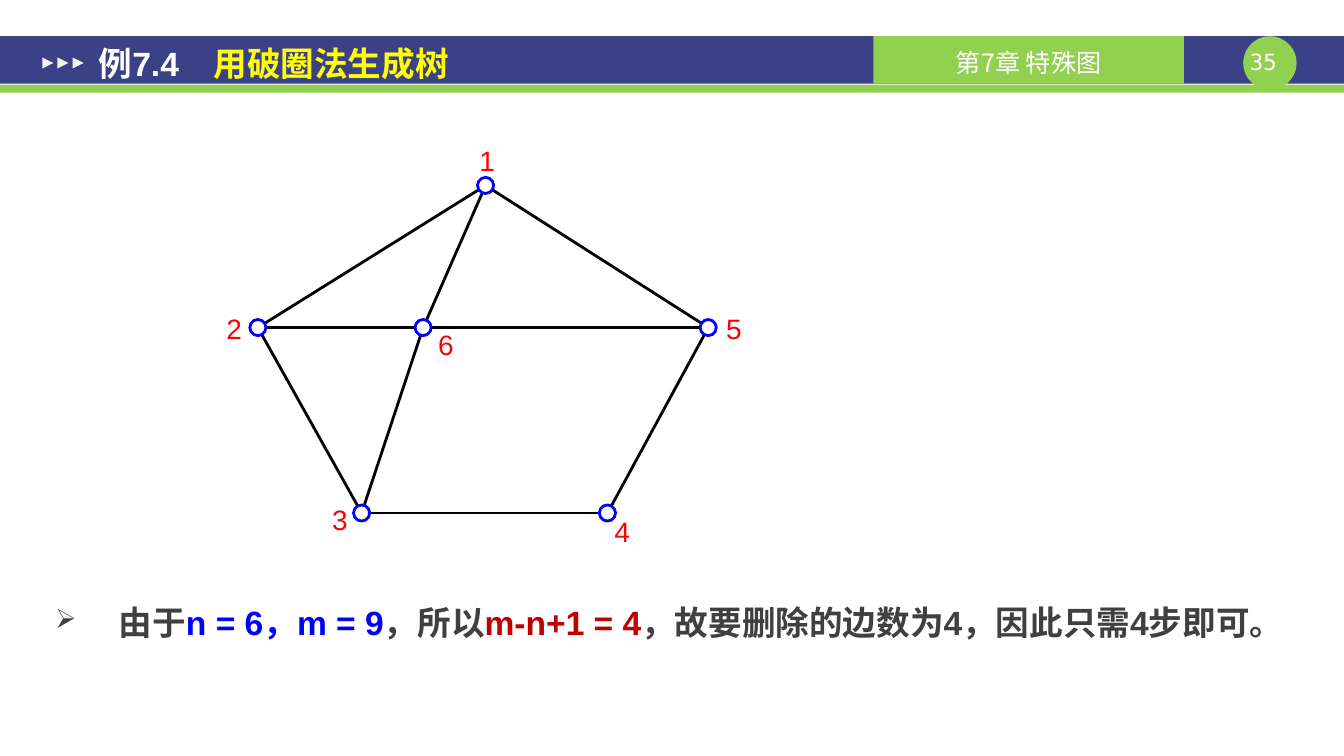
from lxml import etree
from pptx import Presentation
from pptx.dml.color import RGBColor
from pptx.enum.shapes import MSO_CONNECTOR, MSO_SHAPE
from pptx.enum.text import MSO_ANCHOR, PP_ALIGN
from pptx.oxml.ns import qn
from pptx.util import Inches, Pt

RECT, OVAL = MSO_SHAPE.RECTANGLE, MSO_SHAPE.OVAL
WEDGE = MSO_SHAPE.ISOSCELES_TRIANGLE
STRAIGHT = MSO_CONNECTOR.STRAIGHT
CENTER, LEFT = PP_ALIGN.CENTER, PP_ALIGN.LEFT
TOP, MIDDLE = MSO_ANCHOR.TOP, MSO_ANCHOR.MIDDLE

NAVY = RGBColor(0x3A, 0x41, 0x87)
GREEN = RGBColor(0x92, 0xD0, 0x50)
WHITE = RGBColor(0xFF, 0xFF, 0xFF)
PALE = RGBColor(0xF2, 0xF2, 0xF2)
YELLOW = RGBColor(0xFF, 0xFF, 0x00)
GRAY = RGBColor(0x40, 0x40, 0x40)
BLUE = RGBColor(0x00, 0x00, 0xFF)
DARK_RED = RGBColor(0xC0, 0x00, 0x00)
RED = RGBColor(0xFF, 0x00, 0x00)
BLACK = RGBColor(0x00, 0x00, 0x00)

HAN = "Noto Sans CJK SC"
BOLD = {"name": "Arial", "size": Pt(24), "bold": True}
LABEL = {"name": "Arial", "size": Pt(20)}
CHAPTER = {"name": HAN, "size": Pt(18)}
NUMBER = {"name": "DejaVu Sans Mono", "size": Pt(16)}
PADS = (0.13, 0.07, 0.13, 0.07)

# Vertex: centre x, y and left, top of its label
NODES = {
    "1": (4.82, 1.84, 4.66, 1.42),
    "2": (2.56, 3.25, 2.15, 3.09),
    "3": (3.59, 5.09, 3.2, 4.99),
    "4": (6.03, 5.09, 6, 5.1),
    "5": (7.03, 3.25, 7.11, 3.09),
    "6": (4.2, 3.25, 4.25, 3.25),
}
EDGES = ("16", "65", "63", "26", "12", "54", "34", "15", "23")
DOT = 0.16


def add_shape(slide, kind, box, fill, line=None):
    shape = slide.shapes.add_shape(kind, *map(Inches, box))
    shape.shadow.inherit = False
    shape.fill.solid()
    shape.fill.fore_color.rgb = fill
    if line is None:
        shape.line.fill.background()
    else:
        shape.line.color.rgb = line
        shape.line.width = Pt(2)
    return shape


def add_edge(slide, start, end):
    points = map(Inches, (*NODES[start][:2], *NODES[end][:2]))
    edge = slide.shapes.add_connector(STRAIGHT, *points)
    edge.line.color.rgb = BLACK
    edge.line.width = Pt(2)
    etree.SubElement(edge._element.spPr, qn("a:effectLst"))


def write(shape, runs, style, align=LEFT, anchor=TOP, pads=(0, 0, 0, 0)):
    """Fill a shape with one paragraph of (text, colour) runs."""
    frame = shape.text_frame
    frame.word_wrap = True
    frame.vertical_anchor = anchor
    for side, pad in zip(("left", "top", "right", "bottom"), pads):
        setattr(frame, f"margin_{side}", Inches(pad))
    para = frame.paragraphs[0]
    para.alignment = align
    for text, color in runs:
        run = para.add_run()
        run.text = text
        for key, value in style.items():
            setattr(run.font, key, value)
        run.font.color.rgb = color
        props = run._r.get_or_add_rPr()
        etree.SubElement(props, qn("a:ea"), typeface=HAN)
    return para


def add_text(slide, box, *args, **format):
    return write(slide.shapes.add_textbox(*map(Inches, box)), *args, **format)


def add_bullet(para, indent):
    props = para._p.get_or_add_pPr()
    props.set("marL", str(Inches(indent)))
    props.set("indent", str(-Inches(indent)))
    etree.SubElement(props, qn("a:buSzPct"), val="80000")
    etree.SubElement(props, qn("a:buChar"), char="➢")


def add_tab(para, place):
    tabs = etree.SubElement(para._p.get_or_add_pPr(), qn("a:tabLst"))
    etree.SubElement(tabs, qn("a:tab"), pos=str(Inches(place)), algn="l")


def add_header(slide):
    add_shape(slide, RECT, (0, 0.36, 13.34, 0.47), NAVY)
    add_shape(slide, RECT, (0, 0.84, 13.34, 0.08), GREEN)
    add_shape(slide, OVAL, (12.34, 0.36, 0.53, 0.53), GREEN)
    add_text(slide, (12.34, 0.48, 0.4, 0.27), [("35", WHITE)], NUMBER, CENTER)
    chapter = add_shape(slide, RECT, (8.67, 0.36, 3.08, 0.47), GREEN)
    write(chapter, [("第7章 特殊图", WHITE)], CHAPTER, CENTER, MIDDLE,
          (0.1, 0.04, 0.1, 0))
    for step in range(3):
        wedge = add_shape(slide, WEDGE, (0.42 + 0.15 * step, 0.57, 0.11, 0.11), PALE)
        wedge.rotation = 90
    title = add_text(slide, (0.85, 0.39, 7.82, 0.47),
                     [("例7.4\t", WHITE), ("用破圈法生成树", YELLOW)],
                     BOLD, anchor=MIDDLE, pads=PADS)
    add_tab(title, 1.14)


def add_graph(slide):
    for start, end in EDGES:
        add_edge(slide, start, end)
    for name, (x, y, left, top) in NODES.items():
        add_shape(slide, OVAL, (x - DOT / 2, y - DOT / 2, DOT, DOT), WHITE, BLUE)
        add_text(slide, (left, top, 0.35, 0.34), [(name, RED)], LABEL, CENTER)


def add_note(slide):
    runs = [
        ("由于", GRAY),
        ("n = 6，m = 9", BLUE),
        ("，所以", GRAY),
        ("m-n+1 = 4", DARK_RED),
        ("，故要删除的边数为4，因此只需4步即可。", GRAY),
    ]
    note = add_text(slide, (0.42, 5.7, 12.24, 0.89), runs, BOLD, pads=PADS)
    add_bullet(note, 0.63)
    note.line_spacing = 1.5


def main():
    deck = Presentation()
    deck.slide_width, deck.slide_height = Inches(13.34), Inches(7.5)
    slide = deck.slides.add_slide(deck.slide_layouts[6])
    add_header(slide)
    add_graph(slide)
    add_note(slide)
    deck.save("out.pptx")


if __name__ == "__main__":
    main()
